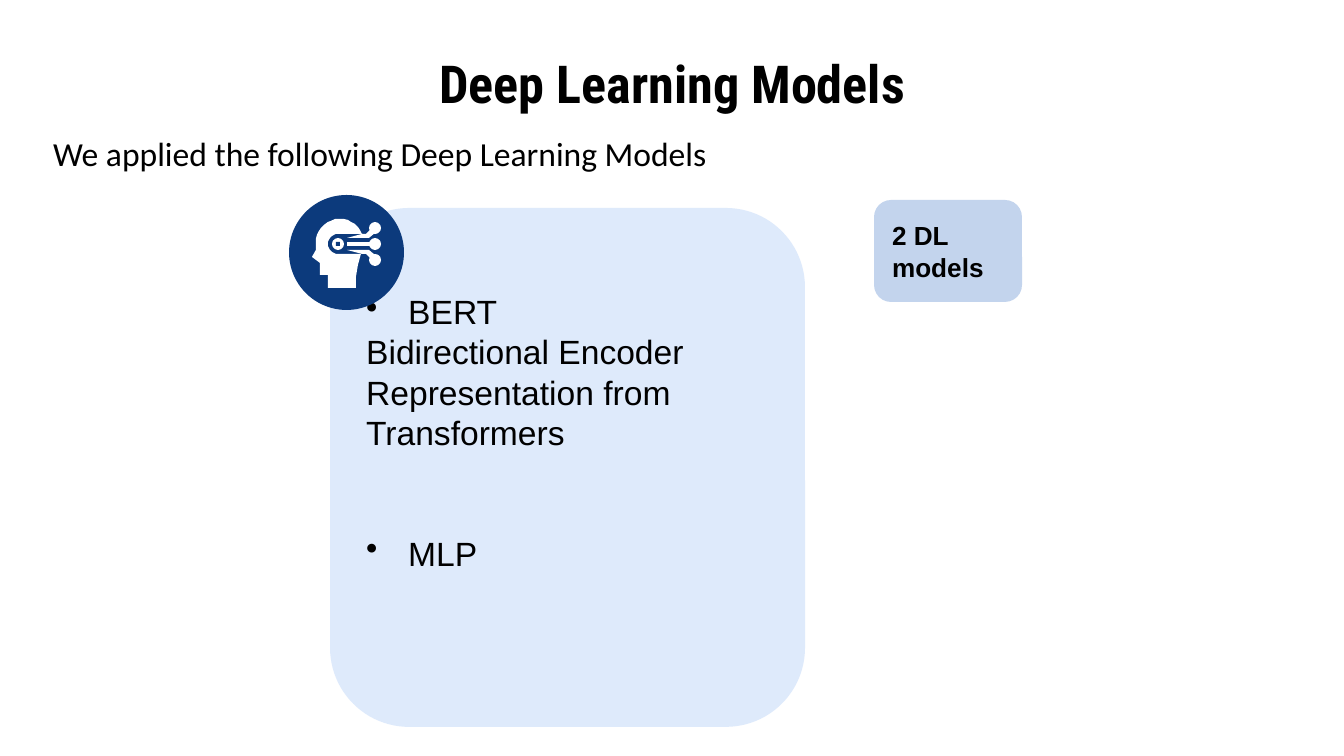
"""Builds the slide that lists the two deep learning models."""
import math

from lxml import etree
from pptx import Presentation
from pptx import util as u
from pptx.dml.color import RGBColor
from pptx.enum import shapes, text
from pptx.oxml.ns import qn

PX = 914400 / 134.4
INSET = 13
BLACK, WHITE, NAVY = "000000", "FFFFFF", "0C3A7C"
TITLE = ("Deep Learning Models", (67, 55, 1210, 55))
INTRO = ("We applied the following Deep Learning Models", (40, 120, 1294, 93))
MODELS_CARD = (330, 208, 475, 519)
MODELS = [
    ("BERT", True, 0),
    ("Bidirectional Encoder Representation from Transformers", False, 0),
    ("MLP", True, 43),
]
MODELS_BOTTOM_INSET = 84
COUNT = ("2 DL models", (874, 200, 148, 102))
BADGE = (289, 195, 115, 115)

EYE = (338, 244)
NODE_X, NODE_RADIUS, NODE_GAP = 375, 6, 16
FACE = [(316, 250), (312, 257), (320, 263), (320, 275), (328, 275),
        (328, 288), (356, 288), (356, 277), (358, 265), (361, 254)]
ARM = [(362, 234), (366, 234), (371, 229), (375, 233), (369, 238), (347, 238), (347, 242), (364, 242)]
ARM_UPPER = [(362, 234), (366, 234), (371, 229), (375, 233), (369, 238), (347, 238)]
MIDDLE_ARM = [(347, 242), (375, 242), (375, 246), (347, 246)]


def px(length):
    return u.Emu(round(length * PX))


def color(value):
    return RGBColor.from_string(value)


def arc(center, radius, start, end, steps=16):
    angles = [math.radians(start + (end - start) * i / steps) for i in range(steps + 1)]
    return [(center[0] + radius * math.cos(a), center[1] + radius * math.sin(a)) for a in angles]


def paint(shape, fill, alpha=None):
    shape.shadow.inherit = False
    shape.fill.solid()
    shape.fill.fore_color.rgb = color(fill)
    shape.line.fill.background()
    if alpha:
        fill_color = shape._element.spPr.find(qn("a:solidFill"))[0]
        etree.SubElement(fill_color, qn("a:alpha"), val=str(alpha * 1000))


def add_preset(slide, kind, box, fill, alpha=None):
    shape = slide.shapes.add_shape(kind, *map(px, box))
    paint(shape, fill, alpha)
    return shape


def add_outline(slide, points):
    builder = slide.shapes.build_freeform(*points[0], scale=PX)
    builder.add_line_segments(points[1:], close=True)
    paint(builder.convert_to_shape(), WHITE)


def add_circle(slide, center, radius):
    box = (center[0] - radius, center[1] - radius, 2 * radius, 2 * radius)
    add_preset(slide, shapes.MSO_SHAPE.OVAL, box, WHITE)


def prepare_frame(shape, anchor):
    frame = shape.text_frame
    frame.word_wrap = True
    frame.auto_size = text.MSO_AUTO_SIZE.NONE
    frame.vertical_anchor = anchor
    frame.margin_left = frame.margin_right = px(INSET)
    frame.margin_top = frame.margin_bottom = px(INSET)
    return frame


def write(paragraph, words, font, size, bold=False, align=text.PP_ALIGN.LEFT):
    paragraph.text = words
    paragraph.alignment = align
    paragraph.font.name = font
    paragraph.font.size = u.Pt(size)
    paragraph.font.bold = bold
    paragraph.font.color.rgb = color(BLACK)


def add_bullet(paragraph):
    properties = paragraph._p.get_or_add_pPr()
    properties.set("marL", str(px(42)))
    properties.set("indent", str(-px(42)))
    bullet = etree.Element(qn("a:buChar"), char="•")
    properties.find(qn("a:defRPr")).addprevious(bullet)


def add_models(slide):
    card = add_preset(slide, shapes.MSO_SHAPE.ROUNDED_RECTANGLE, MODELS_CARD, "7DADF2", 25)
    frame = prepare_frame(card, text.MSO_ANCHOR.MIDDLE)
    frame.margin_bottom = px(MODELS_BOTTOM_INSET)
    for index, (words, bulleted, gap) in enumerate(MODELS):
        paragraph = frame.add_paragraph() if index else frame.paragraphs[0]
        write(paragraph, words, "Arial", 18)
        paragraph.space_before = u.Pt(gap)
        if bulleted:
            add_bullet(paragraph)


def add_icon(slide):
    add_preset(slide, shapes.MSO_SHAPE.OVAL, BADGE, NAVY)
    skull = arc((340, 243), 24, 180, 338)
    socket = arc(EYE, 10, 90, 270)
    add_outline(slide, skull + [(363, 234)] + socket[::-1] + FACE[::-1])
    add_circle(slide, EYE, NODE_RADIUS)
    add_preset(slide, shapes.MSO_SHAPE.RECTANGLE, (EYE[0] - 2, EYE[1] - 2, 4, 4), NAVY)
    add_outline(slide, MIDDLE_ARM)
    add_outline(slide, ARM_UPPER)
    add_outline(slide, [(x, 2 * EYE[1] - y) for x, y in ARM_UPPER])
    for step in (-1, 0, 1):
        add_circle(slide, (NODE_X, EYE[1] + step * NODE_GAP), NODE_RADIUS)


def main():
    presentation = Presentation()
    presentation.slide_width, presentation.slide_height = px(1344), px(756)
    slide = presentation.slides.add_slide(presentation.slide_layouts[5])

    add_models(slide)
    add_icon(slide)

    title = slide.shapes.title
    title.left, title.top, title.width, title.height = map(px, TITLE[1])
    frame = prepare_frame(title, text.MSO_ANCHOR.MIDDLE)
    write(frame.paragraphs[0], TITLE[0], "Roboto Condensed", 28, True, text.PP_ALIGN.CENTER)

    intro = slide.shapes.add_textbox(*map(px, INTRO[1]))
    frame = prepare_frame(intro, text.MSO_ANCHOR.TOP)
    write(frame.paragraphs[0], INTRO[0], "Calibri", 18)

    count = add_preset(slide, shapes.MSO_SHAPE.ROUNDED_RECTANGLE, COUNT[1], "1256BB", 25)
    frame = prepare_frame(count, text.MSO_ANCHOR.MIDDLE)
    write(frame.paragraphs[0], COUNT[0], "Arial", 14, True)

    presentation.save("out.pptx")


if __name__ == "__main__":
    main()
